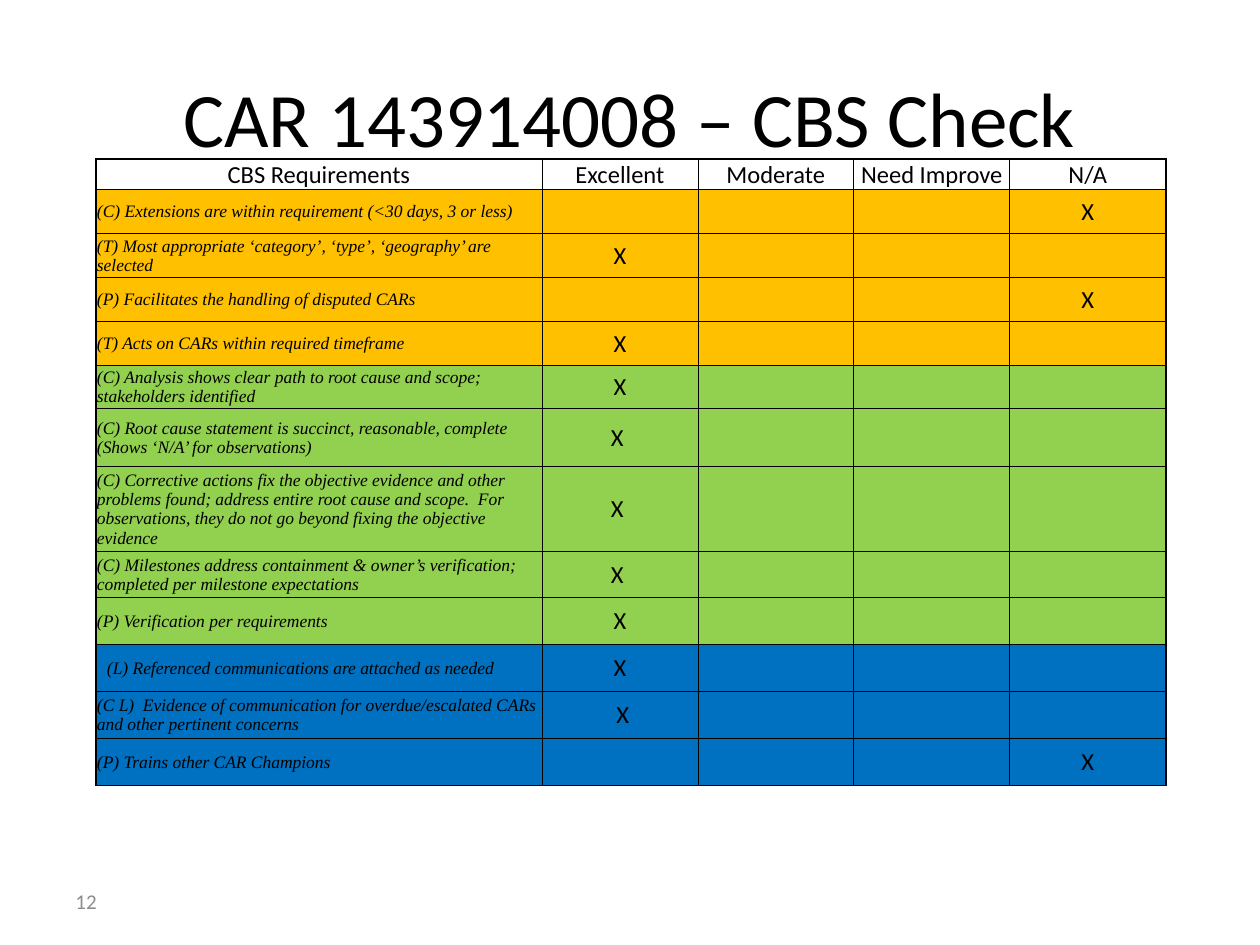
"""Build the CAR 143914008 CBS check slide."""
from dataclasses import dataclass
from typing import Any, Optional

from lxml import etree
from pptx import Presentation
from pptx import util as u
from pptx.dml import color
from pptx.enum import text
from pptx.oxml import ns

EMU_PER_PX = 914400 / 126


@dataclass(frozen=True)
class Theme:
    sans: str = "Calibri"
    serif: str = "Times New Roman"
    ink: str = "000000"
    muted: str = "8C8C8C"
    amber: str = "FFC000"
    green: str = "92D050"
    blue: str = "0070C0"
    title_size: int = 44
    grid_size: int = 14
    note_size: int = 12
    requirement_size: int = 10
    inner_line: float = 0.5
    outer_line: float = 1


THEME = Theme()


@dataclass(frozen=True)
class Style:
    name: str
    size: int
    ink: str = THEME.ink
    italic: bool = False
    align: Any = text.PP_ALIGN.CENTER


@dataclass(frozen=True)
class Label:
    words: str
    left: int
    top: int
    width: int
    height: int
    style: Style


@dataclass(frozen=True)
class Requirement:
    words: str
    height: int
    fill: str
    rating: int
    mark: str = "X"
    inset: int = 1


GRID = Style(THEME.sans, THEME.grid_size)
WORDING = Style(THEME.serif, THEME.requirement_size, italic=True, align=text.PP_ALIGN.LEFT)
EXCELLENT, NOT_APPLICABLE = 1, 4
HEADINGS = ("CBS Requirements", "Excellent", "Moderate", "Need Improve", "N/A")
WIDTHS = (446, 156, 156, 156, 156)
HEADER_HEIGHT = 26
TABLE_LEFT, TABLE_TOP = 96, 159

LABELS = (
    Label("CAR 143914008 – CBS Check", 63, 38, 1134, 157,
          Style(THEME.sans, THEME.title_size)),
    Label("12", 63, 876, 294, 50,
          Style(THEME.sans, THEME.note_size, THEME.muted, align=text.PP_ALIGN.LEFT)),
)

REQUIREMENTS = (
    Requirement("(C) Extensions are within requirement (<30 days, 3 or less)",
                44, THEME.amber, NOT_APPLICABLE),
    Requirement("(T) Most appropriate ‘category’, ‘type’, ‘geography’ are selected",
                44, THEME.amber, EXCELLENT),
    Requirement("(P) Facilitates the handling of disputed CARs",
                44, THEME.amber, NOT_APPLICABLE),
    Requirement("(T) Acts on CARs within required timeframe",
                44, THEME.amber, EXCELLENT),
    Requirement("(C) Analysis shows clear path to root cause and scope; stakeholders identified",
                42, THEME.green, EXCELLENT),
    Requirement("(C) Root cause statement is succinct, reasonable, complete "
                "(Shows ‘N/A’ for observations)",
                58, THEME.green, EXCELLENT, "X "),
    Requirement("(C) Corrective actions fix the objective evidence and other problems found; "
                "address entire root cause and scope.  For observations, they do not go "
                "beyond fixing the objective evidence",
                63, THEME.green, EXCELLENT, "X "),
    Requirement("(C) Milestones address containment & owner’s verification; "
                "completed per milestone expectations",
                46, THEME.green, EXCELLENT, "X "),
    Requirement("(P) Verification per requirements",
                47, THEME.green, EXCELLENT),
    Requirement("(L) Referenced communications are attached as needed",
                47, THEME.blue, EXCELLENT, inset=11),
    Requirement("(C L)  Evidence of communication for overdue/escalated CARs "
                "and other pertinent concerns",
                47, THEME.blue, EXCELLENT, " X"),
    Requirement("(P) Trains other CAR Champions",
                47, THEME.blue, NOT_APPLICABLE),
)


def px(length: int) -> u.Emu:
    """Turn pixels into EMU."""
    return u.Emu(round(length * EMU_PER_PX))


def set_all(target: Any, values: dict[str, Any]) -> None:
    """Set every named attribute on the target."""
    for name, value in values.items():
        setattr(target, name, value)


def write(para: Any, words: str, style: Style) -> None:
    """Write one styled span into a paragraph."""
    para.alignment = style.align
    span = para.add_run()
    span.text = words
    set_all(span.font, {"name": style.name, "size": u.Pt(style.size),
                        "italic": style.italic, "bold": False})
    span.font.color.rgb = color.RGBColor.from_string(style.ink)


def draw_label(page: Any, label: Label) -> None:
    """Draw a vertically centred text box."""
    box = page.shapes.add_textbox(
        px(label.left), px(label.top), px(label.width), px(label.height))
    set_all(box.text_frame, {"word_wrap": True,
                             "vertical_anchor": text.MSO_ANCHOR.MIDDLE})
    write(box.text_frame.paragraphs[0], label.words, label.style)


def draw_borders(cell: Any, outer_sides: dict[str, bool]) -> None:
    """Rule the four sides of a cell, heavier on the table edge."""
    properties = cell._tc.get_or_add_tcPr()
    for side, is_outer in outer_sides.items():
        points = THEME.outer_line if is_outer else THEME.inner_line
        line = etree.SubElement(properties, ns.qn(f"a:ln{side}"), w=str(u.Pt(points)))
        fill = etree.SubElement(line, ns.qn("a:solidFill"))
        etree.SubElement(fill, ns.qn("a:srgbClr"), val=THEME.ink)


def format_cell(cell: Any, fill: Optional[str], anchor: Any, inset: int = 1) -> None:
    """Set the insets, anchor and fill of a cell."""
    set_all(cell, {"margin_left": px(inset), "margin_right": px(1), "margin_top": px(1),
                   "margin_bottom": 0, "vertical_anchor": anchor})
    if fill is None:
        cell.fill.background()
    else:
        cell.fill.solid()
        cell.fill.fore_color.rgb = color.RGBColor.from_string(fill)


def draw_table(page: Any) -> None:
    """Draw the requirements table with its ratings."""
    heights = [HEADER_HEIGHT, *(item.height for item in REQUIREMENTS)]
    table = page.shapes.add_table(
        len(heights), len(WIDTHS), px(TABLE_LEFT), px(TABLE_TOP),
        px(sum(WIDTHS)), px(sum(heights))).table
    set_all(table, {"first_row": False, "horz_banding": False})
    for column, width in zip(table.columns, WIDTHS):
        column.width = px(width)
    for row, height in zip(table.rows, heights):
        row.height = px(height)

    last_row, last_column = len(heights) - 1, len(WIDTHS) - 1
    for r in range(len(heights)):
        for c in range(len(WIDTHS)):
            draw_borders(table.cell(r, c), {"L": c == 0, "R": c == last_column,
                                            "T": r == 0, "B": r == last_row})

    for c, heading in enumerate(HEADINGS):
        cell = table.cell(0, c)
        format_cell(cell, None, text.MSO_ANCHOR.BOTTOM)
        write(cell.text_frame.paragraphs[0], heading, GRID)

    for r, item in enumerate(REQUIREMENTS, start=1):
        for c in range(len(WIDTHS)):
            format_cell(table.cell(r, c), item.fill, text.MSO_ANCHOR.MIDDLE,
                        item.inset if c == 0 else 1)
        write(table.cell(r, 0).text_frame.paragraphs[0], item.words, WORDING)
        write(table.cell(r, item.rating).text_frame.paragraphs[0], item.mark, GRID)


def main() -> None:
    """Assemble and save the deck."""
    deck = Presentation()
    set_all(deck, {"slide_width": px(1260), "slide_height": px(945)})
    page = deck.slides.add_slide(deck.slide_layouts[6])
    for label in LABELS:
        draw_label(page, label)
    draw_table(page)
    deck.save("out.pptx")


if __name__ == "__main__":
    main()
